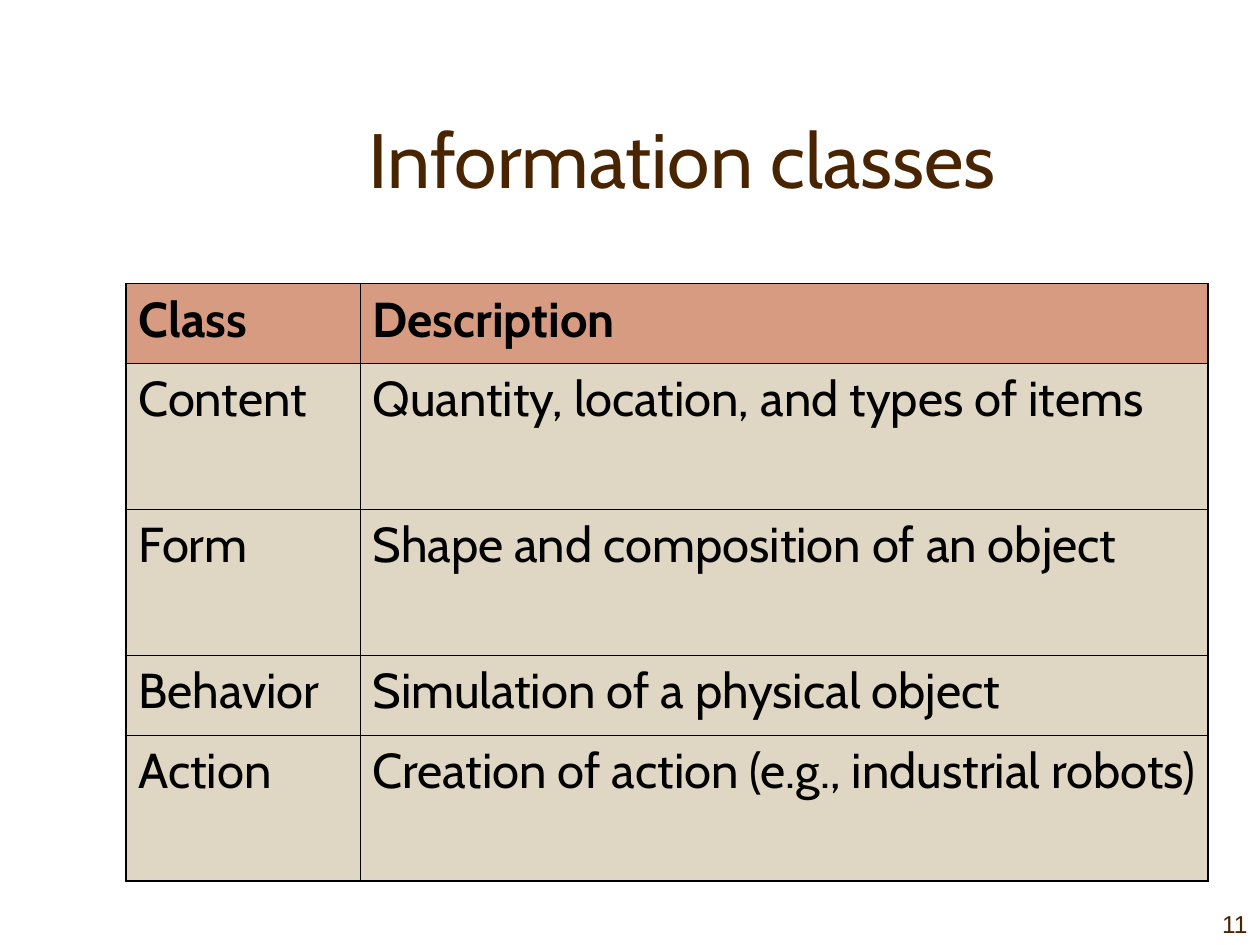
from pptx import Presentation
from pptx.dml.color import RGBColor
from pptx.enum.text import MSO_ANCHOR, PP_ALIGN
from pptx.oxml.ns import qn
from pptx.util import Pt
from lxml.etree import SubElement

BROWN = RGBColor(0x48, 0x24, 0x00)
BLACK = RGBColor(0x00, 0x00, 0x00)
HEADER_FILL = RGBColor(0xD6, 0x9B, 0x80)
BODY_FILL = RGBColor(0xDF, 0xD6, 0xC3)

THIN, THICK = Pt(0.45), Pt(1.08)
COLUMN_WIDTHS = [Pt(133.8), Pt(484.4)]
ROW_HEIGHTS = [Pt(height) for height in (45.5, 83.5, 83.5, 45.5, 83.5)]
ROWS = [
    ("Class", "Description"),
    ("Content", "Quantity, location, and types of items"),
    ("Form", "Shape and composition of an object"),
    ("Behavior", "Simulation of a physical object"),
    ("Action", "Creation of action (e.g., industrial robots)"),
]


def set_attributes(target, values):
    for name, value in values.items():
        setattr(target, name, value)


def write_text(text_frame, text, font, color, paragraph_format):
    text_frame.text = text
    paragraph = text_frame.paragraphs[0]
    set_attributes(paragraph, paragraph_format)
    run_font = paragraph.runs[0].font
    set_attributes(run_font, font)
    run_font.color.rgb = color


def add_title(slide, box):
    title = slide.shapes.title
    set_attributes(title, box)
    set_attributes(title.text_frame, {"vertical_anchor": MSO_ANCHOR.BOTTOM, "word_wrap": True})
    write_text(title.text_frame, "Information classes",
               {"name": "Cabin", "size": Pt(44)}, BROWN, {"alignment": PP_ALIGN.CENTER})


def set_borders(cell, widths):
    """Draw black cell borders; widths maps each side's tag to a line width."""
    properties = cell._tc.get_or_add_tcPr()
    for position, (tag, width) in enumerate(widths.items()):
        line = properties.makeelement(qn(tag), {"w": str(int(width))})
        fill = SubElement(line, qn("a:solidFill"))
        SubElement(fill, qn("a:srgbClr"), val=str(BLACK))
        properties.insert(position, line)


def add_class_table(slide, left, top):
    frame = slide.shapes.add_table(len(ROWS), len(COLUMN_WIDTHS), left, top,
                                   sum(COLUMN_WIDTHS), sum(ROW_HEIGHTS))
    table = frame.table
    for column, width in zip(table.columns, COLUMN_WIDTHS):
        column.width = width
    last_row, last_column = len(ROWS) - 1, len(COLUMN_WIDTHS) - 1
    for row_index, texts in enumerate(ROWS):
        table.rows[row_index].height = ROW_HEIGHTS[row_index]
        is_header = row_index == 0
        for column_index, text in enumerate(texts):
            cell = table.cell(row_index, column_index)
            cell.fill.solid()
            cell.fill.fore_color.rgb = HEADER_FILL if is_header else BODY_FILL
            write_text(cell.text_frame, text,
                       {"name": "Cabin", "size": Pt(28), "bold": is_header},
                       BLACK, {"space_before": Pt(7)})
            set_borders(cell, {
                "a:lnL": THICK if column_index == 0 else THIN,
                "a:lnR": THICK if column_index == last_column else THIN,
                "a:lnT": THICK if is_header else THIN,
                "a:lnB": THICK if row_index == last_row else THIN,
            })


def add_slide_number(slide, left, top, width, height):
    text_frame = slide.shapes.add_textbox(left, top, width, height).text_frame
    set_attributes(text_frame, {"vertical_anchor": MSO_ANCHOR.BOTTOM, "word_wrap": False})
    write_text(text_frame, "11", {"name": "Arial", "size": Pt(14)}, BROWN,
               {"alignment": PP_ALIGN.RIGHT})


def main():
    presentation = Presentation()
    set_attributes(presentation, {"slide_width": Pt(720), "slide_height": Pt(540)})
    slide = presentation.slides.add_slide(presentation.slide_layouts.get_by_name("Title Only"))
    add_title(slide, {"left": Pt(84), "top": Pt(30), "width": Pt(612), "height": Pt(90)})
    add_class_table(slide, Pt(72), Pt(162))
    add_slide_number(slide, Pt(648), Pt(504), Pt(72), Pt(36))
    presentation.save("out.pptx")


if __name__ == "__main__":
    main()
